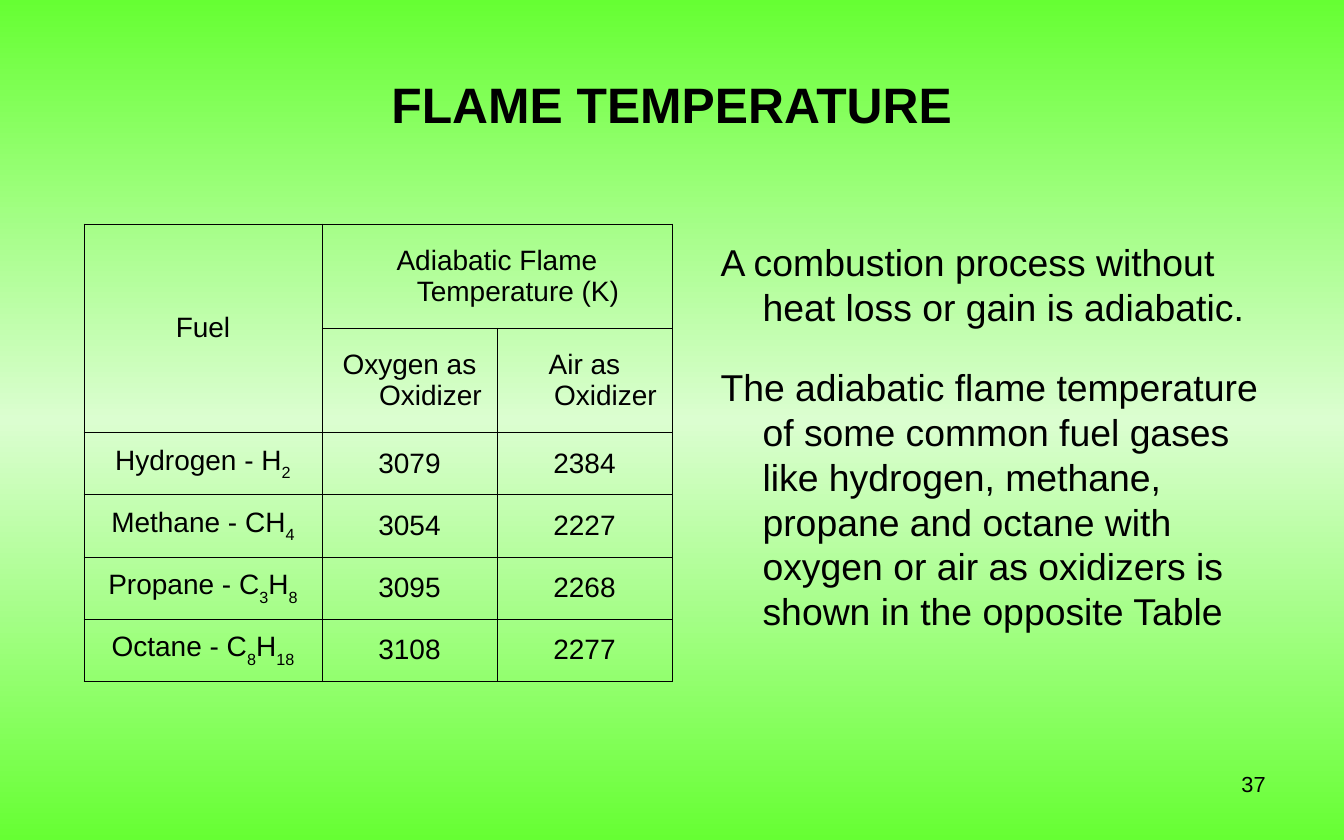
from copy import deepcopy
from itertools import groupby

from lxml.etree import SubElement
from pptx import Presentation
from pptx.dml.color import RGBColor
from pptx.enum.text import MSO_ANCHOR as Anchor, MSO_AUTO_SIZE as AutoSize, PP_ALIGN as Align
from pptx.oxml import parse_xml
from pptx.oxml.ns import nsdecls, qn
from pptx.util import Pt

BLACK = RGBColor(0x00, 0x00, 0x00)
GREEN = RGBColor(0x66, 0xFF, 0x33)
PALE_GREEN = RGBColor(0xDB, 0xFE, 0xD0)
FONT = "Arial"
HANGING = Pt(27)

TITLE = "FLAME TEMPERATURE"
STATEMENTS = [
    "A combustion process without heat loss or gain is adiabatic.",
    "The adiabatic flame temperature of some common fuel gases like hydrogen, methane, "
    "propane and octane with oxygen or air as oxidizers is shown in the opposite Table",
]
STATEMENT_GAPS = [6, 23]
TABLE_ROWS = [
    ("Fuel", "Adiabatic Flame Temperature (K)", ""),
    ("", "Oxygen as Oxidizer", "Air as Oxidizer"),
    ("Hydrogen - H2", "3079", "2384"),
    ("Methane - CH4", "3054", "2227"),
    ("Propane - C3H8", "3095", "2268"),
    ("Octane - C8H18", "3108", "2277"),
]
MERGES = [((0, 0), (1, 0)), ((0, 1), (0, 2))]
COLUMN_WIDTHS = [153, 112.5, 112.5]
ROW_HEIGHTS = [67] * 2 + [40] * 4
PAGE_NUMBER = "37"


def format_runs(paragraph, size, bold=False):
    for run in paragraph.runs:
        run.font.name = FONT
        run.font.size = Pt(size)
        run.font.bold = bold
        run.font.color.rgb = BLACK


def hang(paragraph):
    properties = paragraph._p.get_or_add_pPr()
    properties.set("marL", str(HANGING))
    properties.set("indent", str(-HANGING))
    return properties


def place(shape, left, top, width, height):
    shape.left, shape.top, shape.width, shape.height = map(Pt, (left, top, width, height))
    shape.text_frame.word_wrap = True
    shape.text_frame.auto_size = AutoSize.NONE


def draw_borders(cell):
    properties = cell._tc.get_or_add_tcPr()
    for position, side in enumerate("LRTB"):
        properties.insert(position, parse_xml(
            f'<a:ln{side} {nsdecls("a")} w="{Pt(0.45)}"><a:solidFill>'
            f'<a:srgbClr val="{BLACK}"/></a:solidFill></a:ln{side}>'))


def fill_cell(cell, text):
    paragraph = cell.text_frame.paragraphs[0]
    paragraph.alignment = Align.CENTER
    hang(paragraph)
    for is_digit, characters in groupby(text, str.isdigit):
        run = paragraph.add_run()
        run.text = "".join(characters)
        if is_digit and not text.isdigit():
            run._r.get_or_add_rPr().set("baseline", "-30000")
    format_runs(paragraph, 18)
    cell.vertical_anchor = Anchor.MIDDLE
    cell.margin_left = cell.margin_right = Pt(7.2)
    cell.margin_top = cell.margin_bottom = Pt(3.6)
    cell.fill.background()
    draw_borders(cell)


presentation = Presentation()
presentation.slide_width, presentation.slide_height = Pt(864), Pt(540)
slide = presentation.slides.add_slide(presentation.slide_layouts[1])

background = slide.background.fill
background.gradient()
background.gradient_angle = 90
first_stop = background.gradient_stops[0]._gs
first_stop.addnext(deepcopy(first_stop))
for stop, position, color in zip(
        background.gradient_stops, (0, 0.5, 1), (GREEN, PALE_GREEN, GREEN)):
    stop.position = position
    stop.color.rgb = color

title = slide.shapes.title
place(title, 43.2, 21.6, 777.6, 90)
title.text_frame.text = TITLE
title.text_frame.vertical_anchor = Anchor.MIDDLE
title.text_frame.paragraphs[0].alignment = Align.CENTER
format_runs(title.text_frame.paragraphs[0], 32, bold=True)

body = slide.placeholders[1]
place(body, 456, 150, 372, 356)
body.text_frame.text = "\n".join(STATEMENTS)
for paragraph, gap in zip(body.text_frame.paragraphs, STATEMENT_GAPS):
    paragraph.space_before = Pt(gap)
    SubElement(hang(paragraph), qn("a:buNone"))
    format_runs(paragraph, 24)

table = slide.shapes.add_table(
    len(ROW_HEIGHTS), len(COLUMN_WIDTHS), Pt(54), Pt(144),
    Pt(sum(COLUMN_WIDTHS)), Pt(sum(ROW_HEIGHTS))).table
table.first_row = table.horz_banding = False
for column, width in zip(table.columns, COLUMN_WIDTHS):
    column.width = Pt(width)
for row, height, texts in zip(table.rows, ROW_HEIGHTS, TABLE_ROWS):
    row.height = Pt(height)
    for cell, text in zip(row.cells, texts):
        fill_cell(cell, text)
for start, end in MERGES:
    table.cell(*start).merge(table.cell(*end))

page_number = slide.shapes.add_textbox(0, 0, 0, 0)
place(page_number, 619.2, 492, 201.6, 37.5)
page_number.text_frame.text = PAGE_NUMBER
page_number.text_frame.paragraphs[0].alignment = Align.RIGHT
format_runs(page_number.text_frame.paragraphs[0], 14)

presentation.save("out.pptx")
